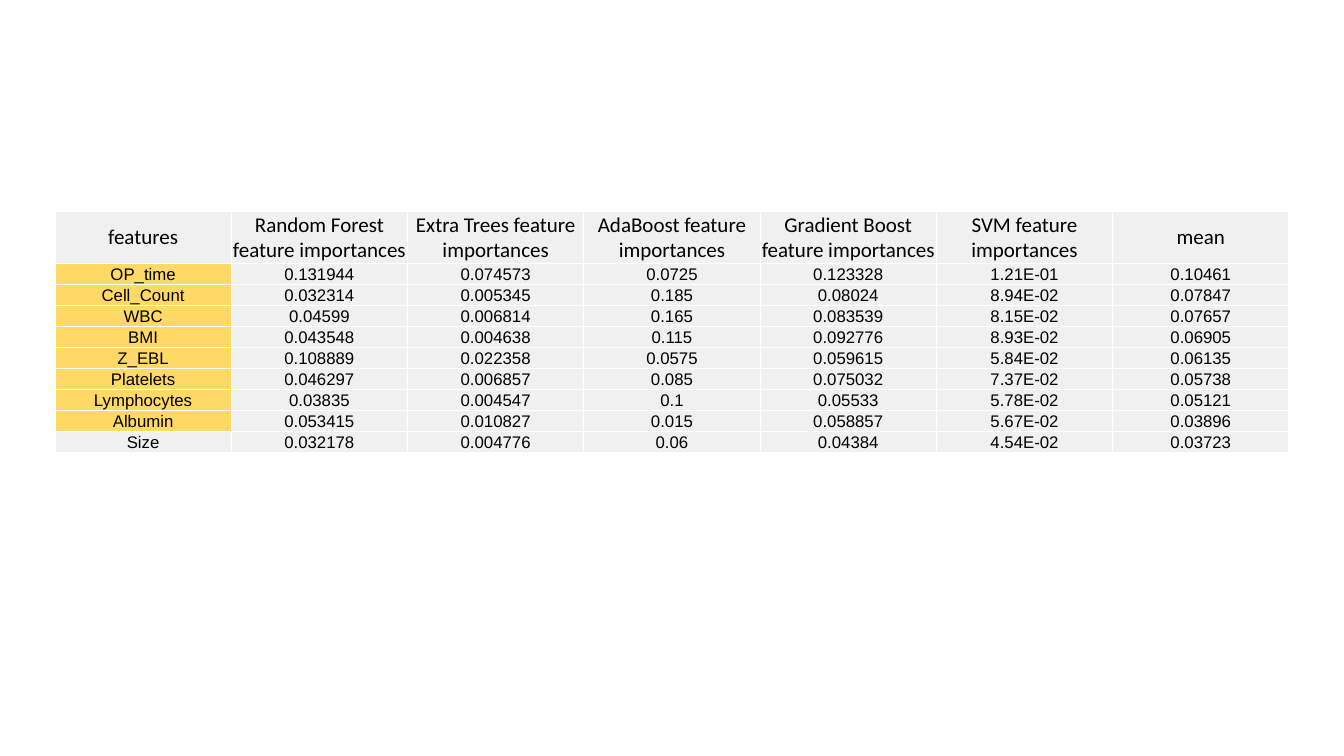
from dataclasses import dataclass

from lxml.etree import SubElement
from pptx import Presentation
from pptx.dml.color import RGBColor
from pptx.enum.text import MSO_ANCHOR, PP_ALIGN
from pptx.oxml.ns import qn
from pptx.util import Emu, Pt


@dataclass(frozen=True)
class Theme:
    text: str = "000000"
    cell: str = "F0F0F0"
    selected: str = "FFD966"
    border: str = "FFFFFF"
    border_width: int = 1
    header_font: str = "Calibri"
    header_size: int = 15
    body_font: str = "Arial"
    body_size: int = 12


THEME = Theme()
EMU_PER_INCH = 914400
PX_PER_INCH = 100.8
BLANK_LAYOUT = 6
HEADER_HEIGHT = 51
BODY_HEIGHT = 21
SELECTED_FEATURES = 8

HEADINGS = (
    "features",
    "Random Forest feature importances",
    "Extra Trees feature importances",
    "AdaBoost feature importances",
    "Gradient Boost feature importances",
    "SVM feature importances",
    "mean",
)
IMPORTANCES = (
    ("OP_time", "0.131944", "0.074573", "0.0725", "0.123328", "1.21E-01", "0.10461"),
    ("Cell_Count", "0.032314", "0.005345", "0.185", "0.08024", "8.94E-02", "0.07847"),
    ("WBC", "0.04599", "0.006814", "0.165", "0.083539", "8.15E-02", "0.07657"),
    ("BMI", "0.043548", "0.004638", "0.115", "0.092776", "8.93E-02", "0.06905"),
    ("Z_EBL", "0.108889", "0.022358", "0.0575", "0.059615", "5.84E-02", "0.06135"),
    ("Platelets", "0.046297", "0.006857", "0.085", "0.075032", "7.37E-02", "0.05738"),
    ("Lymphocytes", "0.03835", "0.004547", "0.1", "0.05533", "5.78E-02", "0.05121"),
    ("Albumin", "0.053415", "0.010827", "0.015", "0.058857", "5.67E-02", "0.03896"),
    ("Size", "0.032178", "0.004776", "0.06", "0.04384", "4.54E-02", "0.03723"),
)


def px(length):
    return Emu(round(length * EMU_PER_INCH / PX_PER_INCH))


def add_borders(cell):
    properties = cell._tc.get_or_add_tcPr()
    for position, side in enumerate(("a:lnL", "a:lnR", "a:lnT", "a:lnB")):
        line = SubElement(properties, qn(side), w=str(Pt(THEME.border_width)))
        fill = SubElement(line, qn("a:solidFill"))
        SubElement(fill, qn("a:srgbClr"), val=THEME.border)
        properties.insert(position, line)


def fill_cell(cell, text, font_name, size, color):
    cell.fill.solid()
    cell.fill.fore_color.rgb = RGBColor.from_string(color)
    add_borders(cell)
    cell.vertical_anchor = MSO_ANCHOR.MIDDLE
    cell.margin_left = cell.margin_top = cell.margin_right = px(1)
    cell.margin_bottom = px(0)
    para = cell.text_frame.paragraphs[0]
    para.alignment = PP_ALIGN.CENTER
    span = para.add_run()
    span.text = text
    span.font.name = font_name
    span.font.size = Pt(size)
    span.font.bold = False
    span.font.color.rgb = RGBColor.from_string(THEME.text)


def add_importance_table(page, left, top, width):
    rows = (HEADINGS, *IMPORTANCES)
    height = HEADER_HEIGHT + BODY_HEIGHT * len(IMPORTANCES)
    frame = page.shapes.add_table(
        len(rows), len(HEADINGS), px(left), px(top), px(width), px(height)
    )
    table = frame.table
    table.horz_banding = False
    for row_index, values in enumerate(rows):
        is_header = row_index == 0
        table.rows[row_index].height = px(HEADER_HEIGHT if is_header else BODY_HEIGHT)
        font_name = THEME.header_font if is_header else THEME.body_font
        size = THEME.header_size if is_header else THEME.body_size
        for column_index, text in enumerate(values):
            is_selected = column_index == 0 and 1 <= row_index <= SELECTED_FEATURES
            color = THEME.selected if is_selected else THEME.cell
            fill_cell(table.cell(row_index, column_index), text, font_name, size, color)


def main():
    deck = Presentation()
    deck.slide_width = px(1344)
    deck.slide_height = px(756)
    page = deck.slides.add_slide(deck.slide_layouts[BLANK_LAYOUT])
    add_importance_table(page, left=55, top=211, width=1234)
    deck.save("out.pptx")


if __name__ == "__main__":
    main()
